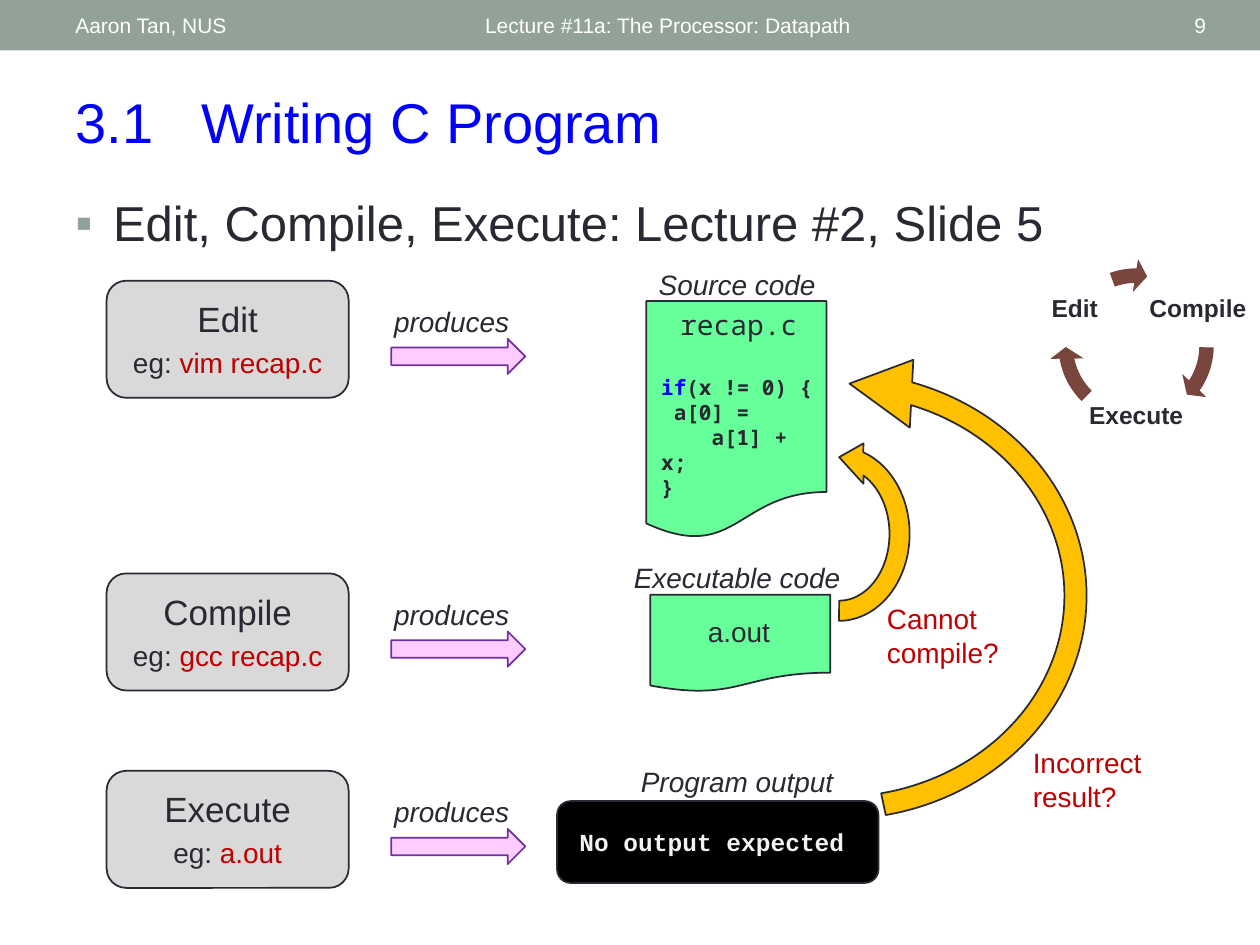
from lxml.etree import SubElement
from pptx import Presentation
from pptx.dml.color import RGBColor
from pptx.enum.shapes import MSO_SHAPE as Kind
from pptx.enum.text import MSO_ANCHOR as Anchor, PP_ALIGN as Align
from pptx.oxml.ns import qn
from pptx.util import Cm, Pt

theme = {
    "ink": "292934", "white": "FFFFFF", "pale": "F2F2F2", "blue": "0000FF",
    "red": "C00000", "sage": "93A299", "brown": "79463D", "pink": "FFCCFF",
    "plum": "7030A0", "green": "66FF99", "grey": "D9D9D9", "gold": "FFC000",
    "black": "000000",
    "title": 32, "body": 28, "head": 20, "text": 16, "small": 14, "code": 12,
    "sans": "Arial", "mono": "Noto Sans Mono", "type": "Courier New",
}

deck = Presentation()
deck.slide_width, deck.slide_height = Cm(25.4), Cm(19.05)
slide = deck.slides.add_slide(deck.slide_layouts[6])


def draw(kind, box, fill, line=None, adjust=()):
    shape = slide.shapes.add_shape(kind, *map(Cm, box))
    shape.shadow.inherit = False
    shape.fill.solid()
    shape.fill.fore_color.rgb = RGBColor.from_string(theme[fill])
    if line:
        shape.line.color.rgb = RGBColor.from_string(theme[line])
        shape.line.width = Pt(1)
    else:
        shape.line.fill.background()
    for i, value in enumerate(adjust):
        shape.adjustments[i] = value
    return shape


def write(box, lines, size="text", color="ink", face="sans", align=Align.LEFT,
          inset=None, anchor=Anchor.TOP, **style):
    frame = slide.shapes.add_textbox(*map(Cm, box)).text_frame
    frame.word_wrap = True
    frame.vertical_anchor = anchor
    if inset is not None:
        for side in ("left", "top", "right", "bottom"):
            setattr(frame, "margin_" + side, Cm(inset))
    for i, line in enumerate(lines):
        para = frame.add_paragraph() if i else frame.paragraphs[0]
        para.alignment = align
        for words, extra in line:
            run = para.add_run()
            run.text = words
            look = {"size": size, "color": color, "name": face, **style, **extra}
            run.font.color.rgb = RGBColor.from_string(theme[look.pop("color")])
            look["size"] = Pt(theme[look["size"]])
            look["name"] = theme[look["name"]]
            for key, value in look.items():
                setattr(run.font, key, value)
    return frame


draw(Kind.RECTANGLE, (0, 0, 25.4, 1.02), "sage")
for left, wide, words, align in (
    (1.27, 8.05, "Aaron Tan, NUS", Align.LEFT),
    (9.53, 11.43, "Lecture #11a: The Processor: Datapath", Align.LEFT),
    (22.15, 2.41, "9", Align.RIGHT),
):
    write((left, 0.05, wide, 0.91), [[(words, {})]], "code", "white",
          align=align, anchor=Anchor.MIDDLE)

write((1.27, 1.63, 22.86, 1.63), [[("3.1\tWriting C Program", {})]], "title", "blue")

body = write((1.27, 3.76, 22.58, 1.5),
             [[("Edit, Compile, Execute: Lecture #2, Slide 5", {})]], "body")
props = body.paragraphs[0]._p.get_or_add_pPr()
props.set("marL", str(Cm(0.76)))
props.set("indent", str(-Cm(0.76)))
tint = SubElement(props, qn("a:buClr"))
SubElement(tint, qn("a:srgbClr")).set("val", theme["sage"])
SubElement(props, qn("a:buFont")).set("typeface", theme["sans"])
SubElement(props, qn("a:buChar")).set("char", "▪")

for words, left, top, wide, start, end in (
    ("Compile", 23.11, 5.51, 2.08, 20.56, 0.671),
    ("Execute", 21.89, 7.67, 2.03, 101.752, 80.836),
    ("Edit", 20.93, 5.51, 1.47, 161.63, 150.076),
):
    label = write((left, top, wide, 1.47), [[(words, {})]], "small",
                  align=Align.CENTER, inset=0.05, anchor=Anchor.MIDDLE, bold=True)
    label.paragraphs[0].line_spacing = 0.9
    draw(Kind.CIRCULAR_ARROW, (21.15, 5.22, 3.51, 3.51), "brown",
         adjust=(0.083, 5.762, start, end, 0.096))

for step, file, top in (
    ("Edit", "vim recap.c", 5.66),
    ("Compile", "gcc recap.c", 11.56),
    ("Execute", "a.out", 15.54),
):
    draw(Kind.ROUNDED_RECTANGLE, (2.15, top, 4.88, 2.36), "grey", "ink")
    write((2.15, top + 0.22, 4.88, 1.12), [[(step, {})]], "head", align=Align.CENTER)
    write((2.15, top + 1.18, 4.88, 0.94), [[("eg: ", {}), (file, {"color": "red"})]],
          align=Align.CENTER)
    draw(Kind.RIGHT_ARROW, (7.89, top + 1.17, 2.7, 0.71), "pink", "plum")
    write((7.62, top + 0.36, 2.97, 0.94), [[("produces", {})]],
          align=Align.CENTER, italic=True)

draw(Kind.FLOWCHART_DOCUMENT, (13.03, 6.07, 3.63, 4.8), "green", "ink")
draw(Kind.FLOWCHART_DOCUMENT, (13.11, 11.99, 3.63, 1.96), "green", "ink")
draw(Kind.ROUNDED_RECTANGLE, (11.23, 16.15, 6.48, 1.65), "black", "ink")
for words, left, top, wide in (
    ("Source code", 12.83, 5.26, 4.06),
    ("Executable code", 12.42, 11.18, 4.88),
    ("Program output", 12.42, 15.29, 4.88),
):
    write((left, top, wide, 0.94), [[(words, {})]], align=Align.CENTER, italic=True)
write((13.08, 12.27, 3.63, 0.94), [[("a.out", {})]], align=Align.CENTER)
output = write((11.43, 16.54, 6.1, 0.86), [[("No output expected", {})]], "small",
               "pale", "type", bold=True)
output.word_wrap = False

for box, adjust in (
    ((11.94, 6.55, 9.93, 10.92), (0.045, 10.16, 204.082, 115.282, 0.069)),
    ((14.96, 9.14, 3.91, 3.25), ()),
):
    back = draw(Kind.CIRCULAR_ARROW, box, "gold", "ink", adjust)
    back.rotation = 270
    back._element.spPr.xfrm.set("flipV", "1")
write((20.57, 14.91, 3.58, 1.9), [[("Incorrect result?", {})]], color="red")
write((17.63, 12.01, 3.23, 2.06), [[("Cannot compile?", {})]], color="red")

code = write((13.08, 6.07, 3.63, 3.68), [
    [("recap.c", {"size": "text", "bold": False})],
    [("if", {"color": "blue"}), ("(x != 0) {", {})],
    [(" a[0] =", {})],
    [("    a[1] + x;", {})],
    [("}", {})],
], "code", face="mono", bold=True)
code.paragraphs[0].alignment = Align.CENTER
code.paragraphs[1].space_before = Pt(19)

deck.save("out.pptx")
